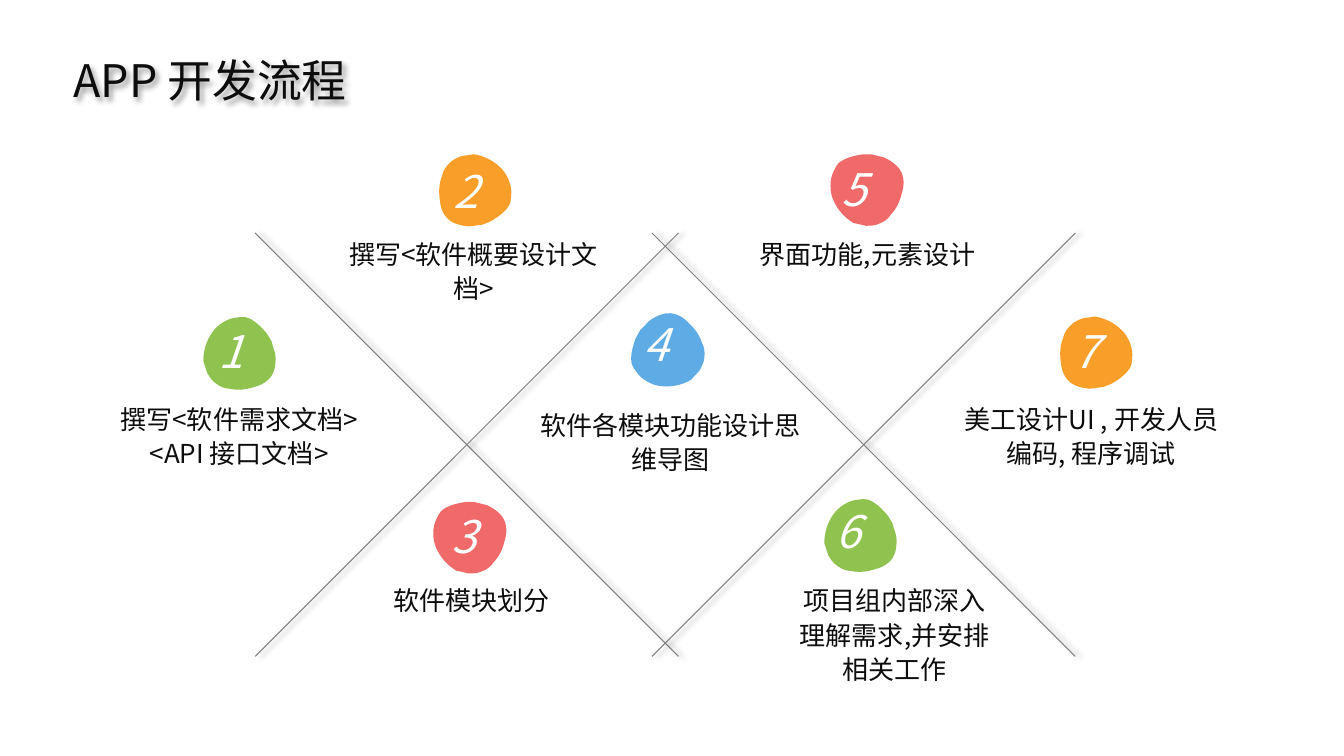
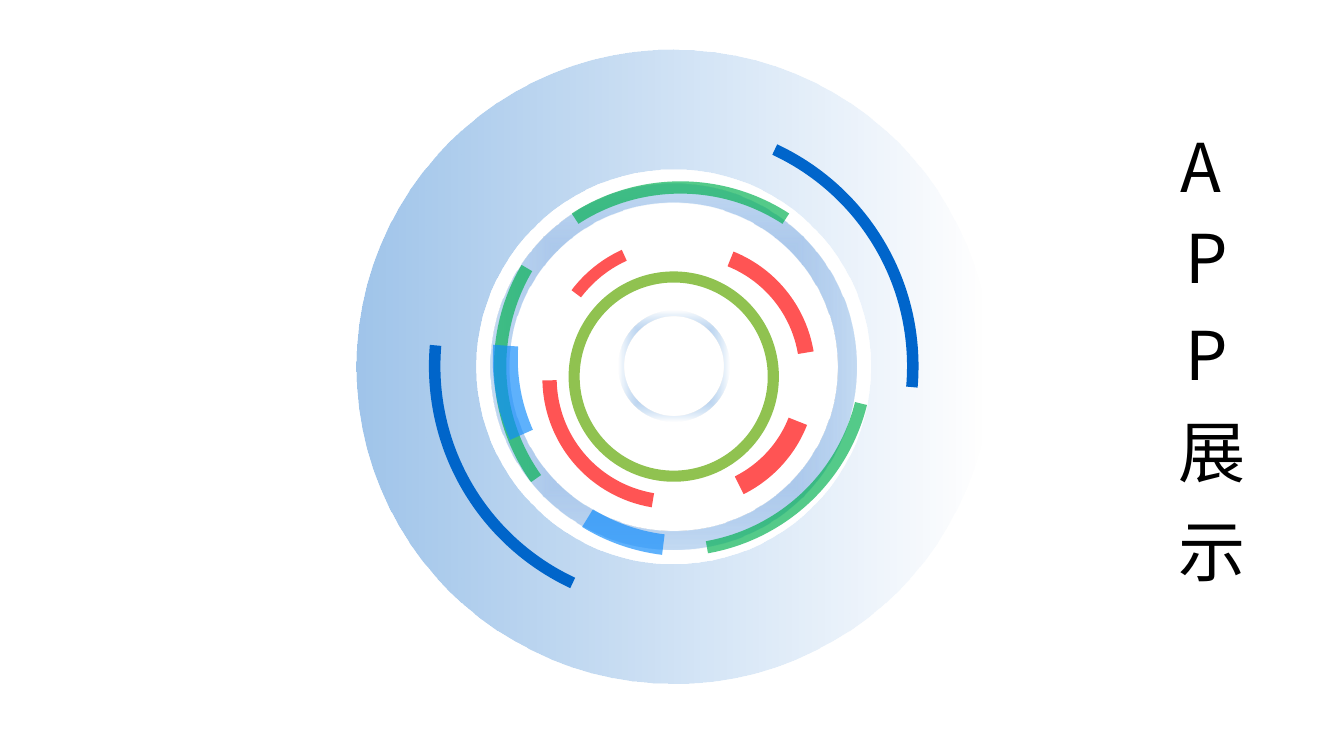
from itertools import product

from lxml import etree
from pptx import Presentation
from pptx.dml.color import RGBColor
from pptx.enum import shapes, text
from pptx.oxml.ns import qn
from pptx.util import Cm, Pt

FONT = "Noto Sans CJK SC"
INK = RGBColor(0x0D, 0x0D, 0x0D)
BLACK = RGBColor(0x00, 0x00, 0x00)
WHITE = RGBColor(0xFF, 0xFF, 0xFF)
GREY = RGBColor(0x80, 0x80, 0x80)
ORANGE = RGBColor(0xF8, 0x9E, 0x29)
SKY = RGBColor(0x5E, 0xAB, 0xE6)
CORAL = RGBColor(0xF0, 0x6A, 0x6A)
LIME = RGBColor(0x90, 0xC2, 0x50)
NAVY = RGBColor(0x00, 0x66, 0xCC)
COBALT = RGBColor(0x00, 0x64, 0xC8)
LAVENDER = RGBColor(0xC1, 0xCA, 0xE9)
GREEN = RGBColor(0x00, 0xB0, 0x50)
AZURE = RGBColor(0x10, 0x8C, 0xFC)
RED = RGBColor(0xFF, 0x00, 0x00)

# Lengths are centimetres.
# colour, rotation, badge left/top, digit offset, caption, caption left/top/width
STEPS = [
    (LIME, 58.8, (5.08, 8.08), (0.18, -0.05),
     "撰写<软件需求文档> <API 接口文档>", (2.42, 9.96, 7.21)),
    (ORANGE, 158.4, (10.97, 3.89), (0.2, 0.1),
     "撰写<软件概要设计文档>", (8.33, 5.79, 7.21)),
    (CORAL, 0, (10.92, 12.65), (0.2, 0.05),
     "软件模块划分", (8.28, 14.53, 7.21)),
    (SKY, 299.2, (15.93, 7.95), (0.05, -0.1),
     "软件各模块功能设计思维导图", (13.29, 10.11, 7.21)),
    (CORAL, 0, (20.93, 3.89), (0.03, 0.05),
     "界面功能,元素设计", (18.26, 5.79, 7.21)),
    (LIME, 58.8, (20.73, 12.67), (0.08, -0.1),
     "项目组内部深入理解需求,并安排相关工作", (19.79, 14.53, 5.51)),
    (ORANGE, 158.4, (26.62, 7.98), (0.18, 0.05),
     "美工设计UI , 开发人员编码, 程序调试", (23.9, 9.96, 7.21)),
]
BADGE_START = (1.68, 0.3)
# Each row is one curve: two control points and the end point.
BADGE_CURVES = [
    ((1.57, 0.2), (1.47, 0.13), (1.35, 0.08)),
    ((1.24, 0.05), (1.14, 0.03), (1.04, 0)),
    ((0.96, 0), (0.91, 0), (0.84, 0)),
    ((0.76, 0), (0.66, 0.03), (0.56, 0.05)),
    ((0.38, 0.1), (0.23, 0.18), (0.18, 0.25)),
    ((0.15, 0.28), (0.11, 0.36), (0.08, 0.43)),
    ((0.03, 0.53), (0, 0.64), (0, 0.79)),
    ((0, 0.94), (0.03, 1.07), (0.08, 1.17)),
    ((0.18, 1.4), (0.36, 1.6), (0.58, 1.73)),
    ((0.69, 1.75), (0.79, 1.78), (0.89, 1.8)),
    ((0.99, 1.8), (1.12, 1.8), (1.22, 1.75)),
    ((1.35, 1.7), (1.45, 1.63), (1.52, 1.52)),
    ((1.68, 1.35), (1.75, 1.17), (1.8, 0.97)),
    ((1.88, 0.71), (1.85, 0.48), BADGE_START),
]
CROSS_LEFTS, CROSS_TOP, CROSS_SIZE = (6.43, 16.43), 5.87, 10.67

CENTRE = (16.98, 9.23)
# centre, radius, thickness, start and end angle clockwise from the right, colour, opacity
DIAL_ARCS = [
    (CENTRE, 6.17, 0.29, 295, 5, NAVY, 100),
    (CENTRE, 6.17, 0.29, 115, 185, NAVY, 100),
]
OVERLAY_ARCS = [
    ((17.15, 9.6), 5.03, 0.31, 237, 303, GREEN, 67),
    ((17.48, 9.23), 5.03, 0.31, 144.5, 210.5, GREEN, 67),
    ((16.97, 8.99), 5.03, 0.31, 14, 80, GREEN, 67),
    ((17.45, 9.04), 5.03, 0.63, 156, 184, AZURE, 67),
    ((17.3, 8.99), 5.03, 0.52, 97, 121.5, AZURE, 67),
    ((17.25, 9.4), 3.3, 0.4, 292, 350.5, RED, 67),
    ((17.04, 9.3), 3.3, 0.3, 217, 245.5, RED, 67),
    ((16.97, 9.53), 3.3, 0.36, 99.5, 179, RED, 67),
    ((17.27, 9.5), 3.3, 0.5, 21.5, 63.5, RED, 67),
]
# letter, left, top
LETTERS = [("A", 29.49, 3.02), ("P", 29.62, 5.33), ("P", 29.62, 7.77)]


def child(parent, tag, **attributes):
    element = etree.SubElement(parent, qn(tag))
    for name, value in attributes.items():
        element.set(name, str(value))
    return element


def add_shadow(shape, blur, distance, angle):
    effects = child(shape._element.spPr, "a:effectLst")
    shadow = child(effects, "a:outerShdw", blurRad=Pt(blur), dist=Pt(distance),
                   dir=angle * 60000, algn="tl", rotWithShape=0)
    child(child(shadow, "a:srgbClr", val=BLACK), "a:alpha", val=40000)


def write(shape, content, size=18.6, color=INK, italic=False, spacing=1.0,
          align=text.PP_ALIGN.LEFT, wrap=True, tracking=0):
    frame = shape.text_frame
    frame.text = content
    frame.word_wrap = wrap
    frame.auto_size = text.MSO_AUTO_SIZE.NONE
    frame.vertical_anchor = text.MSO_ANCHOR.TOP
    frame.margin_left = frame.margin_right = Cm(0.25)
    frame.margin_top = frame.margin_bottom = Cm(0.13)
    paragraph = frame.paragraphs[0]
    paragraph.alignment = align
    paragraph.line_spacing = spacing
    run = paragraph.runs[0]
    font = run.font
    font.name, font.size, font.italic = FONT, Pt(size), italic
    font.color.rgb = color
    properties = run._r.get_or_add_rPr()
    child(properties, "a:ea", typeface=FONT)
    if tracking:
        properties.set("spc", str(tracking * 100))


def add_text(slide, content, left, top, width, height, **style):
    box = slide.shapes.add_textbox(Cm(left), Cm(top), Cm(width), Cm(height))
    write(box, content, **style)


def add_titled_slide(presentation, title, left, top, width, height, **style):
    slide = presentation.slides.add_slide(presentation.slide_layouts[5])
    shape = slide.shapes.title
    shape.left, shape.top, shape.width, shape.height = map(Cm, (left, top, width, height))
    write(shape, title, **style)
    return slide


def paint(shape, color, opacity=100):
    shape.shadow.inherit = False
    shape.line.fill.background()
    shape.fill.solid()
    shape.fill.fore_color.rgb = color
    if opacity < 100:
        solid = shape._element.spPr.find(qn("a:solidFill"))
        child(solid[0], "a:alpha", val=opacity * 1000)


def paint_fading(shape, color, opacity=100, from_centre=False):
    """Fade the colour into clear navy, left to right or outwards."""
    paint(shape, color)
    solid = shape._element.spPr.find(qn("a:solidFill"))
    gradient = etree.Element(qn("a:gradFill"), rotWithShape="1")
    stops = child(gradient, "a:gsLst")
    for position, stop_color, alpha in ((0, color, opacity), (100, NAVY, 0)):
        stop = child(stops, "a:gs", pos=position * 1000)
        child(child(stop, "a:srgbClr", val=stop_color), "a:alpha", val=alpha * 1000)
    if from_centre:
        shade = child(gradient, "a:path", path="rect")
        child(shade, "a:fillToRect", l=50000, t=50000, r=50000, b=50000)
    else:
        child(gradient, "a:lin", ang=0, scaled=0)
    solid.getparent().replace(solid, gradient)


def bend_segments(shape):
    """Turn every three straight segments into one Bézier curve."""
    segments = list(shape._element.iter(qn("a:lnTo")))
    for index in range(0, len(segments), 3):
        curve = etree.Element(qn("a:cubicBezTo"))
        segments[index].addprevious(curve)
        for segment in segments[index:index + 3]:
            curve.append(segment[0])
            segment.getparent().remove(segment)


def add_badge(slide, left, top, color, rotation):
    builder = slide.shapes.build_freeform(*map(Cm, BADGE_START))
    builder.add_line_segments(
        [(Cm(x), Cm(y)) for curve in BADGE_CURVES for x, y in curve], close=True)
    badge = builder.convert_to_shape(Cm(left), Cm(top))
    bend_segments(badge)
    badge.rotation = rotation
    paint(badge, color)


def add_round(slide, kind, centre, radius):
    x, y = centre
    return slide.shapes.add_shape(kind, Cm(x - radius), Cm(y - radius),
                                  Cm(2 * radius), Cm(2 * radius))


def add_ring(slide, centre, radius, thickness):
    ring = add_round(slide, shapes.MSO_SHAPE.DONUT, centre, radius)
    ring.adjustments[0] = thickness / (2 * radius)
    return ring


def add_arc(slide, centre, radius, thickness, start, end, color, opacity):
    arc = add_round(slide, shapes.MSO_SHAPE.BLOCK_ARC, centre, radius)
    # An angle adjustment counts 60000 to the degree, scaled by 100000.
    for index, value in enumerate((start * 0.6, end * 0.6, thickness / (2 * radius))):
        arc.adjustments[index] = value
    paint(arc, color, opacity)


def add_cross_line(slide, left, rising):
    top, bottom = CROSS_TOP, CROSS_TOP + CROSS_SIZE
    start, end = (bottom, top) if rising else (top, bottom)
    line = slide.shapes.add_connector(shapes.MSO_CONNECTOR.STRAIGHT, Cm(left), Cm(start),
                                      Cm(left + CROSS_SIZE), Cm(end))
    line.line.color.rgb = GREY
    line.line.width = Pt(0.75)
    add_shadow(line, 4, 3, 0)


def build_process(presentation):
    slide = add_titled_slide(presentation, "APP 开发流程", 1.6, 1.19, 16.15, 1.6, size=32)
    add_shadow(slide.shapes.title, 4, 3, 45)
    for color, rotation, corner, _, _, _ in STEPS:
        add_badge(slide, *corner, color, rotation)
    for rising, left in product((False, True), CROSS_LEFTS):
        add_cross_line(slide, left, rising)
    for number, (_, _, (x, y), (dx, dy), caption, (left, top, width)) in enumerate(STEPS, 1):
        add_text(slide, str(number), x + dx, y + dy, 1.8, 1.63,
                 size=32, color=WHITE, italic=True, wrap=False)
        add_text(slide, caption, left, top, width, 1.9,
                 spacing=1.1, align=text.PP_ALIGN.CENTER)


def build_showcase(presentation):
    slide = add_titled_slide(presentation, "展示", 29.18, 10.41, 2.57, 5.54,
                             size=48, color=BLACK, tracking=23)
    slide.shapes.title.text_frame._txBody.bodyPr.set("vert", "eaVert")
    for letter, left, top in LETTERS:
        add_text(slide, letter, left, top, 2.13, 2.31, size=48, color=BLACK)
    paint(add_ring(slide, (16.98, 9.49), 2.65, 0.28), LIME)
    paint_fading(add_ring(slide, CENTRE, 1.4, 0.15), LAVENDER, from_centre=True)
    band = add_ring(slide, CENTRE, 4.61, 0.48)
    band.rotation = 315
    paint_fading(band, LAVENDER, from_centre=True)
    for arc in DIAL_ARCS:
        add_arc(slide, *arc)
    paint_fading(add_ring(slide, CENTRE, 7.99, 3.02), COBALT, opacity=38)
    for arc in OVERLAY_ARCS:
        add_arc(slide, *arc)


def main():
    presentation = Presentation()
    presentation.slide_width, presentation.slide_height = Cm(33.87), Cm(19.05)
    build_process(presentation)
    build_showcase(presentation)
    presentation.save("out.pptx")


if __name__ == "__main__":
    main()
